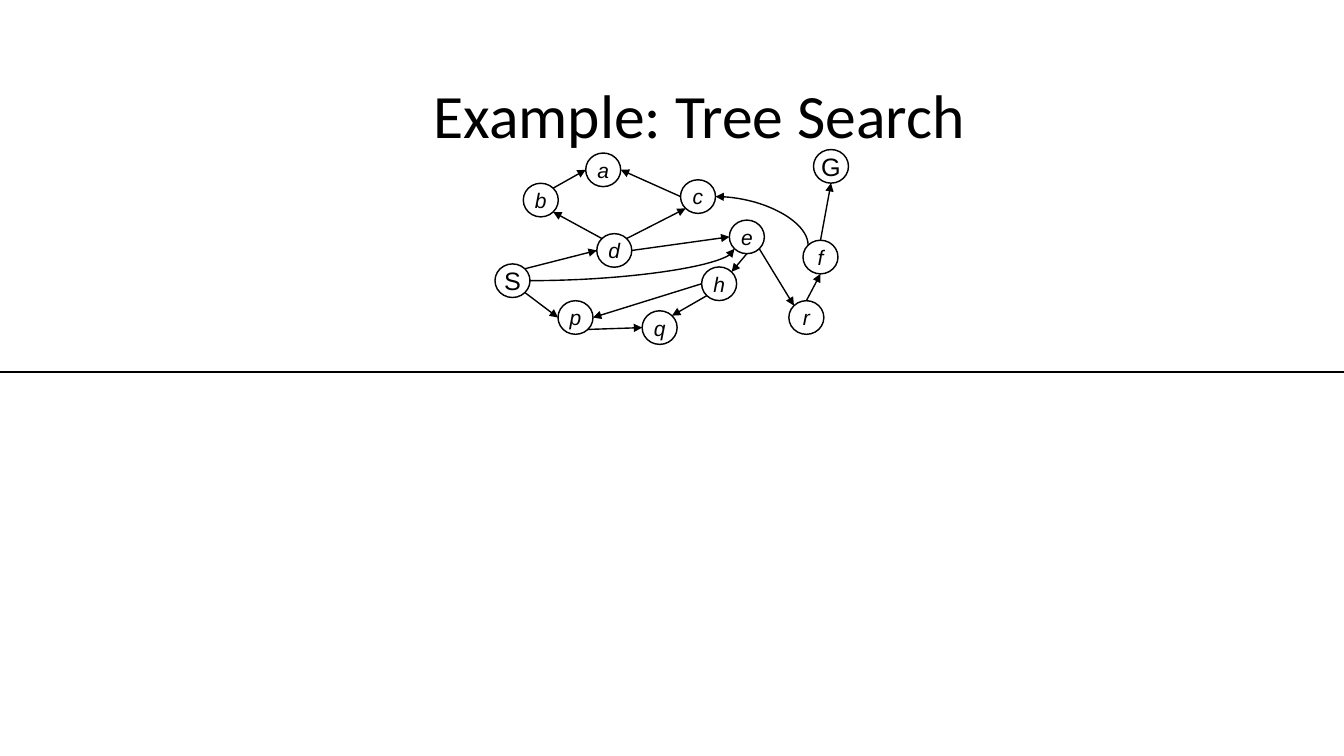
"""Build the tree search example slide: a title above a directed state graph."""
import dataclasses

import lxml.etree
import pptx
import pptx.dml.color
import pptx.enum.shapes
import pptx.enum.text
import pptx.oxml.ns
import pptx.util

Pt = pptx.util.Pt
qn = pptx.oxml.ns.qn


@dataclasses.dataclass(frozen=True)
class Theme:
    ink: pptx.dml.color.RGBColor = pptx.dml.color.RGBColor(0, 0, 0)
    title_font: str = "Calibri"
    state_font: str = "Arial"
    title_size: float = 44
    endpoint_size: float = 18
    state_size: float = 15
    outline: float = 1.02
    edge: float = 1
    divider: float = 0.78


THEME = Theme()
RADIUS_X, RADIUS_Y = 12.5, 12
DIAGONAL = 0.71
CURVE_STEPS = 24

STATES = {
    "S": (366.1, 200.5), "G": (593.6, 118.8), "d": (438.8, 178.9),
    "b": (386.3, 142.9), "p": (411.1, 226.8), "q": (471.2, 234),
    "c": (498.6, 140.4), "e": (533.5, 169.2), "h": (513.7, 202.7),
    "a": (430.9, 121.3), "f": (586.1, 183.6), "r": (576, 226.8),
}
ENDPOINTS = ("S", "G")
SIDES = {
    "N": (0, -1), "S": (0, 1), "W": (-1, 0), "E": (1, 0),
    "NW": (-DIAGONAL, -DIAGONAL), "NE": (DIAGONAL, -DIAGONAL),
    "SW": (-DIAGONAL, DIAGONAL), "SE": (DIAGONAL, DIAGONAL),
}
STRAIGHT_EDGES = [
    ("S", "SE", "p", "W"), ("p", "SE", "q", "W"), ("h", "SW", "q", "NE"),
    ("h", "W", "p", "E"), ("e", "S", "h", "NE"), ("e", "SE", "r", "NW"),
    ("r", "N", "f", "S"), ("f", "N", "G", "S"), ("S", "NE", "d", "W"),
    ("d", "NW", "b", "SE"), ("b", "NE", "a", "W"), ("c", "W", "a", "E"),
    ("d", "NE", "c", "SW"), ("d", "E", "e", "W"),
]
CURVED_EDGES = [("f", "NW", "c", "E"), ("S", "E", "e", "SW")]


def rim_point(state, side):
    x, y = STATES[state]
    across, down = SIDES[side]
    return x + across * RADIUS_X, y + down * RADIUS_Y


def style_line(line, width):
    line.color.rgb = THEME.ink
    line.width = Pt(width)


def add_arrowhead(outlined):
    ln = outlined.line._get_or_add_ln()
    lxml.etree.SubElement(ln, qn("a:tailEnd"), type="triangle", w="med", len="med")


def style_text(frame, text, font_name, size, italic=False):
    frame.margin_left = frame.margin_right = Pt(0)
    frame.margin_top = frame.margin_bottom = Pt(0)
    frame.vertical_anchor = pptx.enum.text.MSO_ANCHOR.MIDDLE
    paragraph = frame.paragraphs[0]
    paragraph.text = text
    paragraph.font.name = font_name
    paragraph.font.size = Pt(size)
    paragraph.font.italic = italic
    paragraph.font.color.rgb = THEME.ink
    return paragraph


def add_title(slide, text):
    title = slide.shapes.add_textbox(Pt(309.6), Pt(28.8), Pt(584.4), Pt(105))
    title.text_frame.word_wrap = True
    style_text(title.text_frame, text, THEME.title_font, THEME.title_size)


def add_state(slide, name):
    x, y = STATES[name]
    state = slide.shapes.add_shape(
        pptx.enum.shapes.MSO_SHAPE.OVAL,
        Pt(x - RADIUS_X), Pt(y - RADIUS_Y), Pt(2 * RADIUS_X), Pt(2 * RADIUS_Y))
    state.shadow.inherit = False
    state.fill.background()
    style_line(state.line, THEME.outline)
    state.text_frame.word_wrap = False
    is_endpoint = name in ENDPOINTS
    size = THEME.endpoint_size if is_endpoint else THEME.state_size
    label = style_text(state.text_frame, name, THEME.state_font, size, not is_endpoint)
    label.alignment = pptx.enum.text.PP_ALIGN.CENTER


def add_line(slide, start, end, width):
    line = slide.shapes.add_connector(
        pptx.enum.shapes.MSO_CONNECTOR.STRAIGHT, *map(Pt, start + end))
    style_line(line.line, width)
    lxml.etree.SubElement(line._element.spPr, qn("a:effectLst"))
    return line


def curve_points(start, end, leaves_sideways):
    (x0, y0), (x3, y3) = start, end
    mid_x, mid_y = (x0 + x3) / 2, (y0 + y3) / 2
    if leaves_sideways:
        (x1, y1), (x2, y2) = (mid_x, y0), (x3, mid_y)
    else:
        (x1, y1), (x2, y2) = (x0, mid_y), (mid_x, y3)
    points = []
    for step in range(CURVE_STEPS + 1):
        t = step / CURVE_STEPS
        weights = ((1 - t) ** 3, 3 * t * (1 - t) ** 2, 3 * t ** 2 * (1 - t), t ** 3)
        x = sum(w * v for w, v in zip(weights, (x0, x1, x2, x3)))
        y = sum(w * v for w, v in zip(weights, (y0, y1, y2, y3)))
        points.append((Pt(x), Pt(y)))
    return points


def add_curve(slide, start, end, leaves_sideways):
    first, *rest = curve_points(start, end, leaves_sideways)
    builder = slide.shapes.build_freeform(*first)
    builder.add_line_segments(rest, close=False)
    curve = builder.convert_to_shape()
    curve.shadow.inherit = False
    curve.fill.background()
    style_line(curve.line, THEME.edge)
    return curve


def main():
    deck = pptx.Presentation()
    deck.slide_width, deck.slide_height = Pt(960), Pt(540)
    slide = deck.slides.add_slide(deck.slide_layouts[6])
    add_title(slide, "Example: Tree Search")
    add_line(slide, (0, 265.7), (960, 265.7), THEME.divider)
    for name in STATES:
        add_state(slide, name)
    for source, leaving, target, entering in STRAIGHT_EDGES:
        edge = add_line(slide, rim_point(source, leaving),
                        rim_point(target, entering), THEME.edge)
        add_arrowhead(edge)
    for source, leaving, target, entering in CURVED_EDGES:
        curve = add_curve(slide, rim_point(source, leaving),
                          rim_point(target, entering), leaving == "E")
        add_arrowhead(curve)
    deck.save("out.pptx")


if __name__ == "__main__":
    main()
